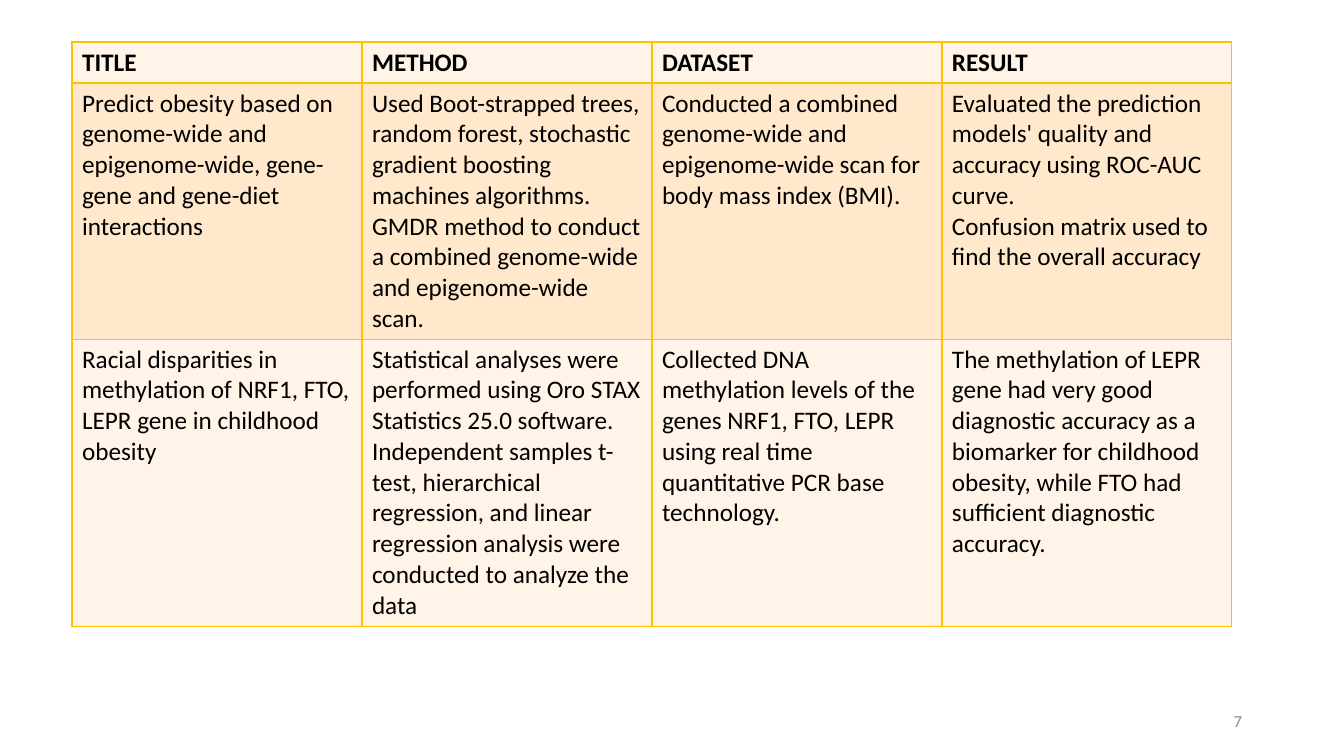
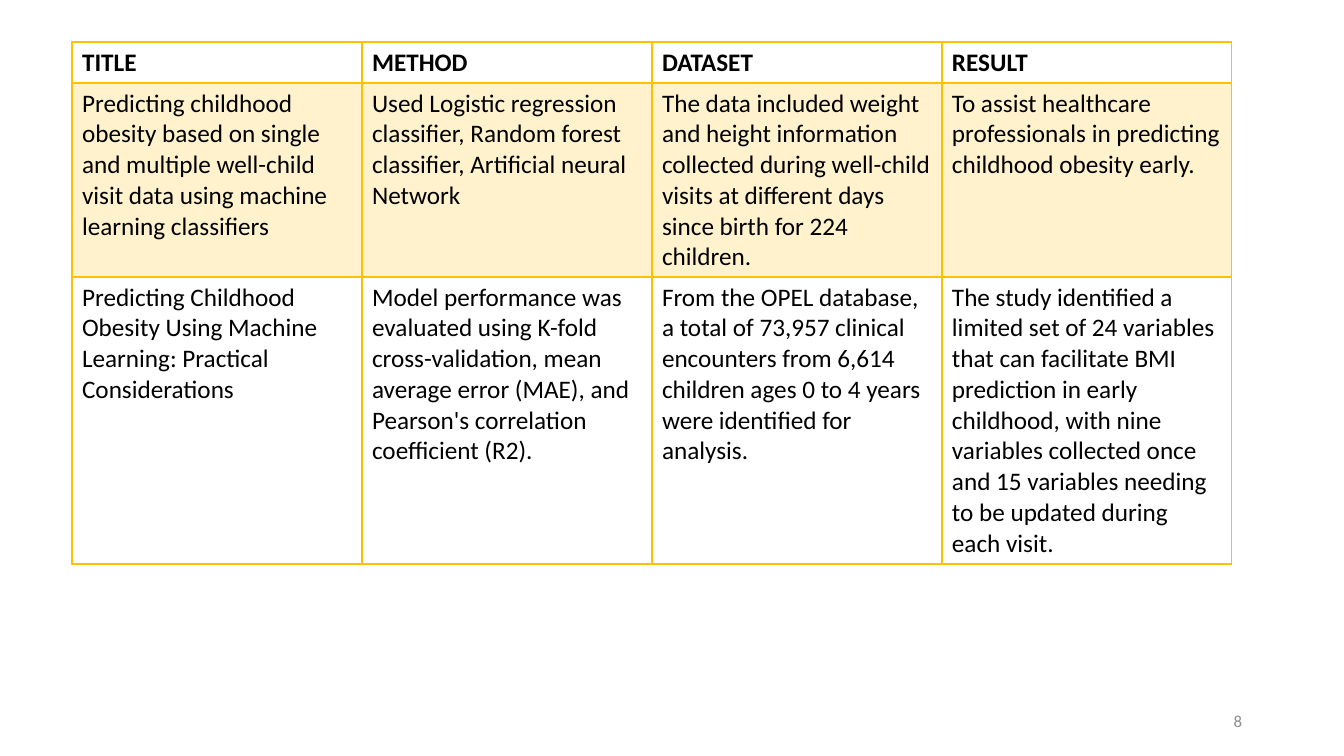
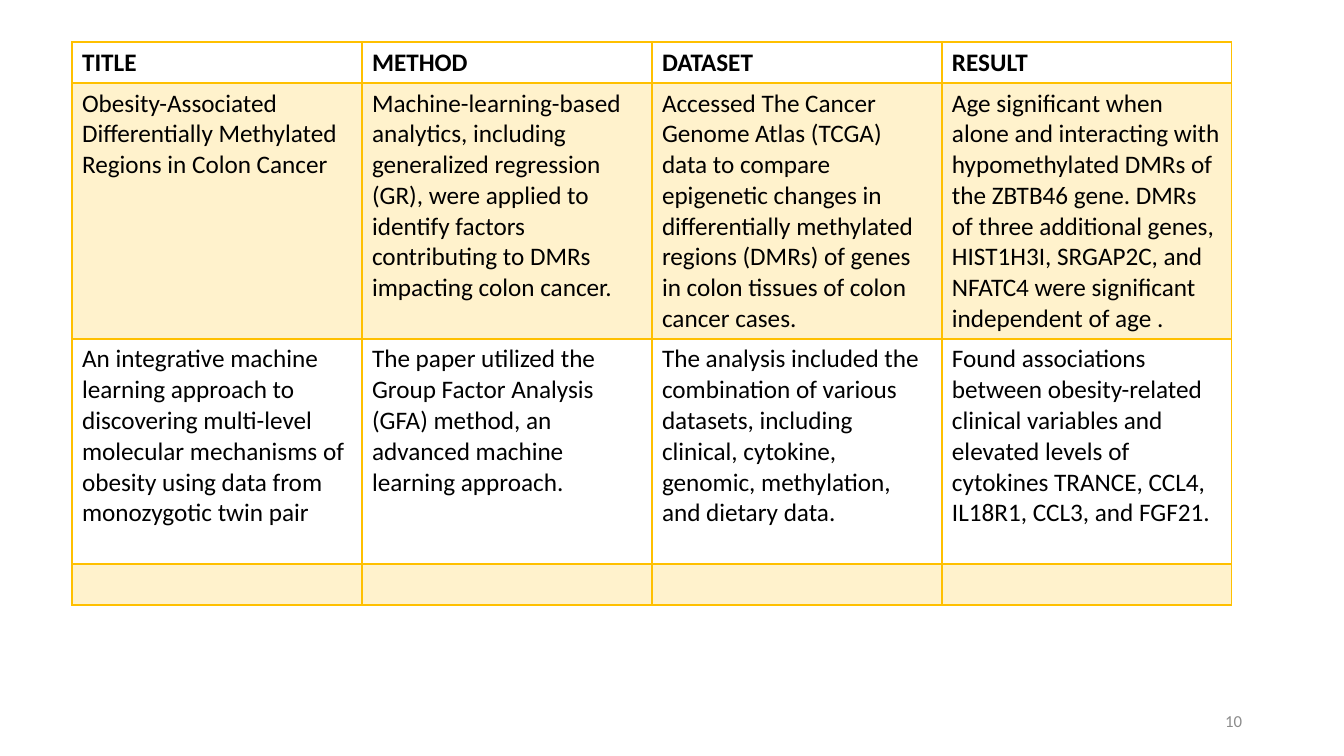
from lxml.etree import SubElement
from pptx import Presentation
from pptx.dml.color import RGBColor
from pptx.enum.text import MSO_ANCHOR as Anchor, PP_ALIGN as Align
from pptx.oxml.ns import qn
from pptx.util import Emu, Pt

# Shared style
BLACK = RGBColor(0x00, 0x00, 0x00)
GRAY = RGBColor(0x8C, 0x8C, 0x8C)
GOLD = RGBColor(0xFF, 0xC0, 0x00)
CREAM = RGBColor(0xFF, 0xF4, 0xE7)
PEACH = RGBColor(0xFF, 0xE8, 0xCC)
FONT = "Calibri"

# A fill is a colour and its opacity in percent; None is no fill
SOLID_BANDS = {"plain": (CREAM, 100), "band": (PEACH, 100), "header_rule": 1}
CLEAR_BANDS = {"plain": None, "band": (GOLD, 20), "header_rule": 2}

# Lengths in px
PAGE_WIDTH, PAGE_HEIGHT = 1344, 756
TABLE_LEFT, TABLE_TOP, COLUMN_WIDTH = 72, 42, 290
NUMBER_BOX = (950, 701, 302, 40)

# Content
HEADINGS = ("TITLE", "METHOD", "DATASET", "RESULT")
SLIDES = [
    {
        "number": "7",
        "look": SOLID_BANDS,
        "heights": (41, 256, 287),
        "rows": [
            (
                "Predict obesity based on genome-wide and epigenome-wide, gene-gene and gene-diet interactions",
                "Used Boot-strapped trees, random forest, stochastic gradient boosting machines algorithms.\n"
                "GMDR method to conduct a combined genome-wide and epigenome-wide scan.",
                "Conducted a combined genome-wide and epigenome-wide scan for body mass index (BMI).",
                "Evaluated the prediction models' quality and accuracy using ROC-AUC curve.\n"
                "Confusion matrix used to find the overall accuracy",
            ),
            (
                "Racial disparities in methylation of NRF1, FTO, LEPR gene in childhood obesity",
                "Statistical analyses were performed using Oro STAX Statistics 25.0 software. "
                "Independent samples t-test, hierarchical regression, and linear regression "
                "analysis were conducted to analyze the data",
                "Collected DNA methylation levels of the genes NRF1, FTO, LEPR using real time "
                "quantitative PCR base technology.",
                "The methylation of LEPR gene had very good diagnostic accuracy as a biomarker "
                "for childhood obesity, while FTO had sufficient diagnostic accuracy.",
            ),
        ],
    },
    {
        "number": "8",
        "look": CLEAR_BANDS,
        "heights": (41, 194, 287),
        "rows": [
            (
                "Predicting childhood obesity based on single and multiple well-child visit data "
                "using machine learning classifiers",
                "Used Logistic regression classifier, Random forest classifier, Artificial neural Network",
                "The data included weight and height information collected during well-child visits "
                "at different days since birth for 224 children.",
                "To assist healthcare professionals in predicting childhood obesity early.",
            ),
            (
                "Predicting Childhood Obesity Using Machine Learning: Practical Considerations",
                "Model performance was evaluated using K-fold cross-validation, mean average error "
                "(MAE), and Pearson's correlation coefficient (R2).",
                "From the OPEL database, a total of 73,957 clinical encounters from 6,614 children "
                "ages 0 to 4 years were identified for analysis.",
                "The study identified a limited set of 24 variables that can facilitate BMI prediction "
                "in early childhood, with nine variables collected once and 15 variables needing to be "
                "updated during each visit.",
            ),
        ],
    },
    {
        "number": "10",
        "look": CLEAR_BANDS,
        "heights": (41, 256, 225, 41),
        "rows": [
            (
                "Obesity-Associated Differentially Methylated Regions in Colon Cancer",
                "Machine-learning-based analytics, including generalized regression (GR), were applied "
                "to identify factors contributing to DMRs impacting colon cancer.",
                "Accessed The Cancer Genome Atlas (TCGA) data to compare epigenetic changes in "
                "differentially methylated regions (DMRs) of genes in colon tissues of colon cancer cases.",
                "Age significant when alone and interacting with hypomethylated DMRs of the ZBTB46 gene. "
                "DMRs of three additional genes, HIST1H3I, SRGAP2C, and NFATC4 were significant "
                "independent of age .",
            ),
            (
                "An integrative machine learning approach to discovering multi-level molecular "
                "mechanisms of obesity using data from monozygotic twin pair",
                "The paper utilized the Group Factor Analysis (GFA) method, an advanced machine "
                "learning approach.",
                "The analysis included the combination of various datasets, including clinical, "
                "cytokine, genomic, methylation, and dietary data.",
                "Found associations between obesity-related clinical variables and elevated levels of "
                "cytokines TRANCE, CCL4, IL18R1, CCL3, and FGF21.",
            ),
            ("",) * len(HEADINGS),
        ],
    },
]


def px(length):
    return Emu(round(length * 914400 / 100.8))


def style_text(para, size, color, bold=False):
    font = para.font
    font.name, font.size, font.bold = FONT, Pt(size), bold
    font.color.rgb = color


def set_borders(cell, widths):
    """Draw gold lines; widths maps an edge letter to points."""
    properties = cell._tc.get_or_add_tcPr()
    for edge, width in widths.items():
        line = SubElement(properties, qn(f"a:ln{edge}"), w=str(Pt(width)))
        SubElement(SubElement(line, qn("a:solidFill")), qn("a:srgbClr"), val=str(GOLD))


def set_fill(cell, fill):
    if fill is None:
        cell.fill.background()
        return
    color, opacity = fill
    cell.fill.solid()
    cell.fill.fore_color.rgb = color
    if opacity < 100:
        color_node = cell._tc.tcPr.find(qn("a:solidFill")).find(qn("a:srgbClr"))
        SubElement(color_node, qn("a:alpha"), val=str(opacity * 1000))


def add_study_table(page, rows, heights, look):
    rows = [HEADINGS, *rows]
    table = page.shapes.add_table(
        len(rows), len(HEADINGS), px(TABLE_LEFT), px(TABLE_TOP),
        px(COLUMN_WIDTH * len(HEADINGS)), px(sum(heights))).table
    table.first_row = table.horz_banding = False
    for column in table.columns:
        column.width = px(COLUMN_WIDTH)
    for r, (texts, height) in enumerate(zip(rows, heights)):
        table.rows[r].height = px(height)
        top = look["header_rule"] if r == 1 else 1
        bottom = look["header_rule"] if r == 0 else 1
        for c, text in enumerate(texts):
            cell = table.cell(r, c)
            cell.text = text
            for para in cell.text_frame.paragraphs:
                style_text(para, 18, BLACK, bold=r == 0)
            set_borders(cell, {"L": 1, "R": 1, "T": top, "B": bottom})
            set_fill(cell, look["band" if r % 2 else "plain"])


def add_page_number(page, number):
    frame = page.shapes.add_textbox(*map(px, NUMBER_BOX)).text_frame
    frame.word_wrap = True
    frame.vertical_anchor = Anchor.MIDDLE
    para = frame.paragraphs[0]
    para.text, para.alignment = number, Align.RIGHT
    style_text(para, 12, GRAY)


def main():
    deck = Presentation()
    deck.slide_width, deck.slide_height = px(PAGE_WIDTH), px(PAGE_HEIGHT)
    blank = deck.slide_layouts[6]
    for content in SLIDES:
        page = deck.slides.add_slide(blank)
        add_study_table(page, content["rows"], content["heights"], content["look"])
        add_page_number(page, content["number"])
    deck.save("out.pptx")


if __name__ == "__main__":
    main()
